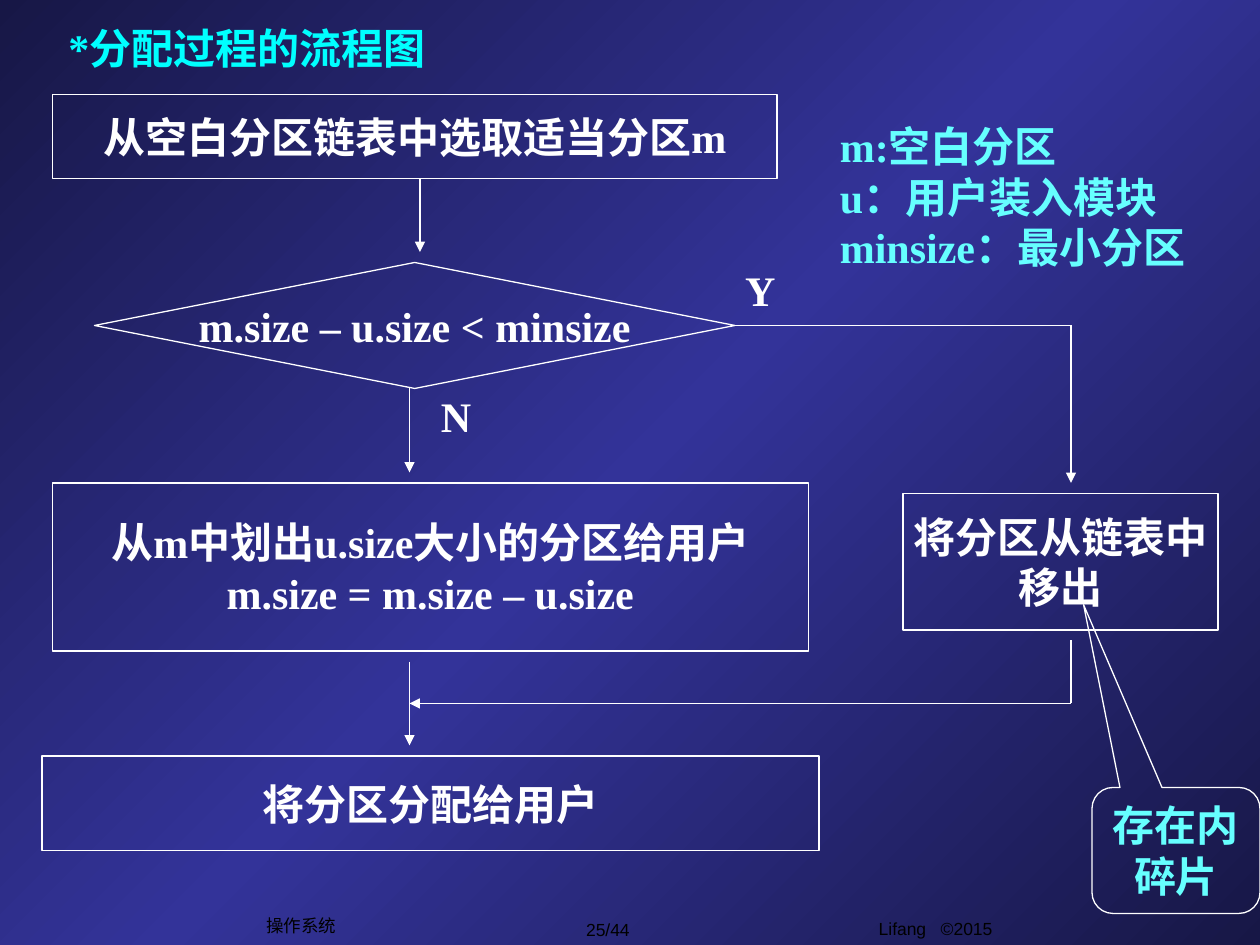
from copy import deepcopy

from lxml import etree
from pptx import Presentation
from pptx import util as u
from pptx.dml.color import RGBColor
from pptx.enum import shapes, text
from pptx.oxml.ns import qn

PX = 7620  # 120 px to the inch
COLORS = {"edge": "171746", "mid": "333399", "white": "FFFFFF",
          "note": "66FFFF", "title": "00FFFF", "footer": "000000"}
BODY = {"name": "Times New Roman", "size": u.Pt(24), "bold": True}
FOOTER = {"name": "Arial", "size": u.Pt(10), "bold": False}
CENTER, LEFT = text.PP_ALIGN.CENTER, text.PP_ALIGN.LEFT
MIDDLE, TOP = text.MSO_ANCHOR.MIDDLE, text.MSO_ANCHOR.TOP


def px(*values):
    return [v * PX for v in values]


def write(sp, lines, color="white", align=CENTER, anchor=MIDDLE, wrap=False, font=BODY):
    tf = sp.text_frame
    tf.auto_size = text.MSO_AUTO_SIZE.NONE
    tf.word_wrap = wrap
    tf.vertical_anchor = anchor
    for i, line in enumerate(lines):
        p = tf.paragraphs[0] if i == 0 else tf.add_paragraph()
        p.alignment = align
        r = p.add_run()
        r.text = line
        for key, value in font.items():
            setattr(r.font, key, value)
        r.font.color.rgb = RGBColor.from_string(COLORS[color])


prs = Presentation()
prs.slide_width, prs.slide_height = px(1200, 900)
s = prs.slides.add_slide(prs.slide_layouts[5])

# Background: dark corners, bright diagonal
fill = s.background.fill
fill.gradient()
fill.gradient_angle = 135
gs_list = next(s.element.iter(qn("a:gsLst")))
gs_list.insert(1, deepcopy(gs_list[0]))
for stop, (position, name) in zip(fill.gradient_stops,
                                  [(0, "edge"), (0.5, "mid"), (1, "edge")]):
    stop.position = position
    stop.color.rgb = RGBColor.from_string(COLORS[name])

# Title
title = s.shapes.title
title.left, title.top, title.width, title.height = px(20, 30, 430, 30)
write(title, ["*分配过程的流程图"], "title", wrap=True)

# Footer
for box, words, anchor, wrap in [
    ((701, 868, 380, 42), "Lifang   ©2015", TOP, True),
    ((518, 869, 122, 32), "25/44", MIDDLE, False),
    ((242, 865, 90, 32), "操作系统", MIDDLE, False),
]:
    write(s.shapes.add_textbox(*px(*box)), [words], "footer",
          anchor=anchor, wrap=wrap, font=FOOTER)

# Flowchart steps and callout
RECT = shapes.MSO_SHAPE.RECTANGLE
DECISION = shapes.MSO_SHAPE.FLOWCHART_DECISION
CALLOUT = shapes.MSO_SHAPE.ROUNDED_RECTANGULAR_CALLOUT
for kind, box, lines in [
    (RECT, (50, 90, 690, 80), ["从空白分区链表中选取适当分区m"]),
    (DECISION, (90, 250, 610, 120), ["m.size – u.size < minsize"]),
    (RECT, (50, 460, 720, 160), ["从m中划出u.size大小的分区给用户",
                                 "m.size = m.size – u.size"]),
    (RECT, (40, 720, 740, 90), ["将分区分配给用户"]),
    (RECT, (860, 470, 300, 130), ["将分区从链表中", "移出"]),
    (CALLOUT, (1040, 750, 160, 120), ["存在内碎片"]),
]:
    sp = s.shapes.add_shape(kind, *px(*box))
    sp.shadow.inherit = False
    sp.fill.background()
    sp.line.color.rgb = RGBColor.from_string(COLORS["white"])
    sp.line.width = u.Pt(0.75)
    if kind == CALLOUT:
        sp.adjustments[0], sp.adjustments[1] = -0.55, -1.95
        write(sp, lines, "note", anchor=TOP, wrap=True)
    else:
        write(sp, lines)

# Legend and branch labels
for box, lines, color, wrap in [
    ((788, 109, 412, 156), ["m:空白分区", "u：用户装入模块", "minsize：最小分区"], "note", True),
    ((408, 366, 53, 60), ["N"], "white", False),
    ((698, 246, 53, 60), ["Y"], "white", False),
]:
    write(s.shapes.add_textbox(*px(*box)), lines, color, LEFT, TOP, wrap)

# Flow lines: start, end, arrowhead
for ends, arrow in [
    ((400, 170, 400, 240), True),
    ((390, 370, 390, 450), True),
    ((390, 630, 390, 710), True),
    ((700, 310, 1020, 310), False),
    ((1020, 310, 1020, 460), True),
    ((1020, 610, 1020, 670), False),
    ((1020, 670, 390, 670), True),
]:
    line = s.shapes.add_connector(shapes.MSO_CONNECTOR.STRAIGHT, *px(*ends))
    line.line.color.rgb = RGBColor.from_string(COLORS["white"])
    line.line.width = u.Pt(0.75)
    if arrow:
        etree.SubElement(line.line._get_or_add_ln(), qn("a:tailEnd"), type="triangle")
    etree.SubElement(line._element.spPr, qn("a:effectLst"))

prs.save("out.pptx")
